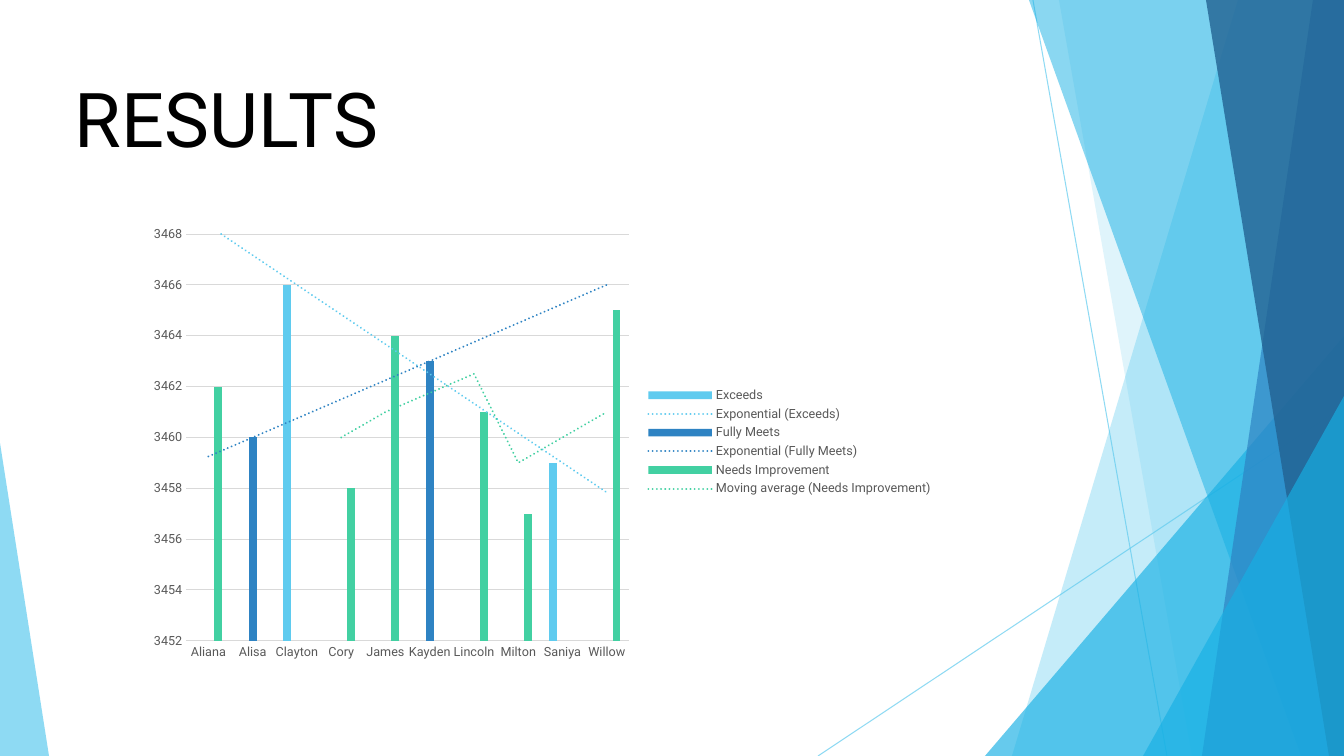
from lxml import etree
from pptx import Presentation
from pptx.chart.data import CategoryChartData
from pptx.dml.color import RGBColor
from pptx.enum.chart import XL_CHART_TYPE as ChartType, XL_LEGEND_POSITION as LegendSide, XL_TICK_MARK as Tick
from pptx.enum.shapes import MSO_CONNECTOR as Connector, MSO_SHAPE as Preset
from pptx.enum.text import MSO_ANCHOR as Anchor
from pptx.oxml import parse_xml
from pptx.oxml.ns import nsdecls, qn
from pptx.util import Pt

PX = 12192000 / 1344
WIDTH, HEIGHT = 1344, 756
SKY = RGBColor(0x5F, 0xCB, 0xEF)
CYAN = RGBColor(0x17, 0xB0, 0xE4)
BLUE = RGBColor(0x2E, 0x83, 0xC3)
NAVY = RGBColor(0x22, 0x62, 0x92)
GREEN = RGBColor(0x42, 0xD0, 0xA2)
BLACK = RGBColor(0, 0, 0)
GREY = RGBColor(0x59, 0x59, 0x59)
PALE = RGBColor(0xD9, 0xD9, 0xD9)
FONT = "Roboto"


def px(*lengths):
    """Turn pixel lengths into a list of EMU."""
    return [round(length * PX) for length in lengths]


def set_opacity(shape, percent):
    for color in shape._element.spPr.iter(qn("a:srgbClr")):
        etree.SubElement(color, qn("a:alpha"), val=str(percent * 1000))


deck = Presentation()
deck.slide_width, deck.slide_height = px(WIDTH, HEIGHT)
page = deck.slides.add_slide(deck.slide_layouts[6])
shapes = page.shapes

# Thin crossing lines
for ends in [(1033, 0, 1167, HEIGHT), (WIDTH, 406, 818, HEIGHT)]:
    line = shapes.add_connector(Connector.STRAIGHT, *px(*ends))
    line.line.color.rgb = SKY
    line.line.width = Pt(0.75)
    set_opacity(line, 70)
    etree.SubElement(line._element.spPr, qn("a:effectLst"))

# Facets from back to front: a band runs to the right edge and is given by the
# top and bottom of its slanted side; a triangle by its box and apex position
facets = [
    ("band", (1238, 1012), SKY, 36),
    ("band", (1059, 1192), SKY, 20),
    ("triangle", (985, 336, 359, 420, 1), CYAN, 66),
    ("band", (1029, 1301), CYAN, 50),
    ("band", (1313, 1202), BLUE, 70),
    ("band", (1206, 1329), NAVY, 80),
    ("triangle", (1143, 396, 201, 360, 1), CYAN, 66),
    ("triangle", (0, 443, 49, 313, 0), SKY, 70),
]
for kind, geometry, color, opacity in facets:
    if kind == "band":
        top, bottom = geometry
        outline = shapes.build_freeform(top, 0, scale=PX)
        outline.add_line_segments([(WIDTH, 0), (WIDTH, HEIGHT), (bottom, HEIGHT)], close=True)
        facet = outline.convert_to_shape()
    else:
        *frame, apex = geometry
        facet = shapes.add_shape(Preset.ISOSCELES_TRIANGLE, *px(*frame))
        facet.adjustments[0] = apex
    facet.shadow.inherit = False
    facet.fill.solid()
    facet.fill.fore_color.rgb = color
    facet.line.fill.background()
    set_opacity(facet, opacity)

# Title
title = shapes.add_textbox(*px(65, 66, 765, 102)).text_frame
title.word_wrap = True
title.vertical_anchor = Anchor.MIDDLE
heading = title.paragraphs[0]
heading.text = "RESULTS"
heading.font.name, heading.font.size = FONT, Pt(54)
heading.font.color.rgb = BLACK

# Chart
ratings = [
    ("Exceeds", {"Clayton": 3466, "Saniya": 3459}, SKY, "exp"),
    ("Fully Meets", {"Alisa": 3460, "Kayden": 3463}, BLUE, "exp"),
    ("Needs Improvement", {"Aliana": 3462, "Cory": 3458, "James": 3464,
                           "Lincoln": 3461, "Milton": 3457, "Willow": 3465}, GREEN, "movingAvg"),
]
people = sorted(person for _, scores, _, _ in ratings for person in scores)
data = CategoryChartData()
data.categories = people
for name, scores, _, _ in ratings:
    data.add_series(name, [scores.get(person) for person in people])

chart = shapes.add_chart(ChartType.COLUMN_CLUSTERED, *px(138, 216, 805, 452), data).chart
chart.has_title = False
chart.font.name, chart.font.size = FONT, Pt(10)
chart.font.color.rgb = BLACK
chart.has_legend = True
chart.legend.position = LegendSide.RIGHT
chart.legend.include_in_layout = False

plot = chart.plots[0]
plot.gap_width, plot.overlap, plot.vary_by_categories = 219, -27, False
for series, (_, _, color, trend) in zip(plot.series, ratings):
    series.format.fill.solid()
    series.format.fill.fore_color.rgb = color
    series.invert_if_negative = False
    options = ('<c:period val="2"/>' if trend == "movingAvg" else "") + \
        '<c:dispRSqr val="0"/><c:dispEq val="0"/>'
    trendline = parse_xml(
        f'<c:trendline {nsdecls("c", "a")}><c:spPr><a:ln w="{Pt(1.5)}" cap="rnd">'
        f'<a:solidFill><a:srgbClr val="{color}"/></a:solidFill><a:prstDash val="sysDot"/>'
        f'</a:ln></c:spPr><c:trendlineType val="{trend}"/>{options}</c:trendline>')
    series._element.find(qn("c:cat")).addprevious(trendline)

names, values = chart.category_axis, chart.value_axis
for font in (names.tick_labels.font, values.tick_labels.font, chart.legend.font):
    font.name, font.size = FONT, Pt(9)
    font.color.rgb = GREY
for axis in (names, values):
    axis.major_tick_mark = axis.minor_tick_mark = Tick.NONE
values.minimum_scale, values.maximum_scale, values.major_unit = 3452, 3468, 2
values.has_major_gridlines = True
values.format.line.fill.background()
for rule in (names.format.line, values.major_gridlines.format.line):
    rule.color.rgb = PALE
    rule.width = Pt(0.75)

# Fixed place of the bars inside the chart, leaving the right side to the legend
area = chart._chartSpace.chart.plotArea
for layout in area.findall(qn("c:layout")):
    area.remove(layout)
area.insert(0, parse_xml(
    f'<c:layout {nsdecls("c")}><c:manualLayout><c:layoutTarget val="inner"/>'
    '<c:xMode val="edge"/><c:yMode val="edge"/><c:x val="0.06"/><c:y val="0.04"/>'
    '<c:w val="0.55"/><c:h val="0.9"/></c:manualLayout></c:layout>'))

deck.save("out.pptx")
